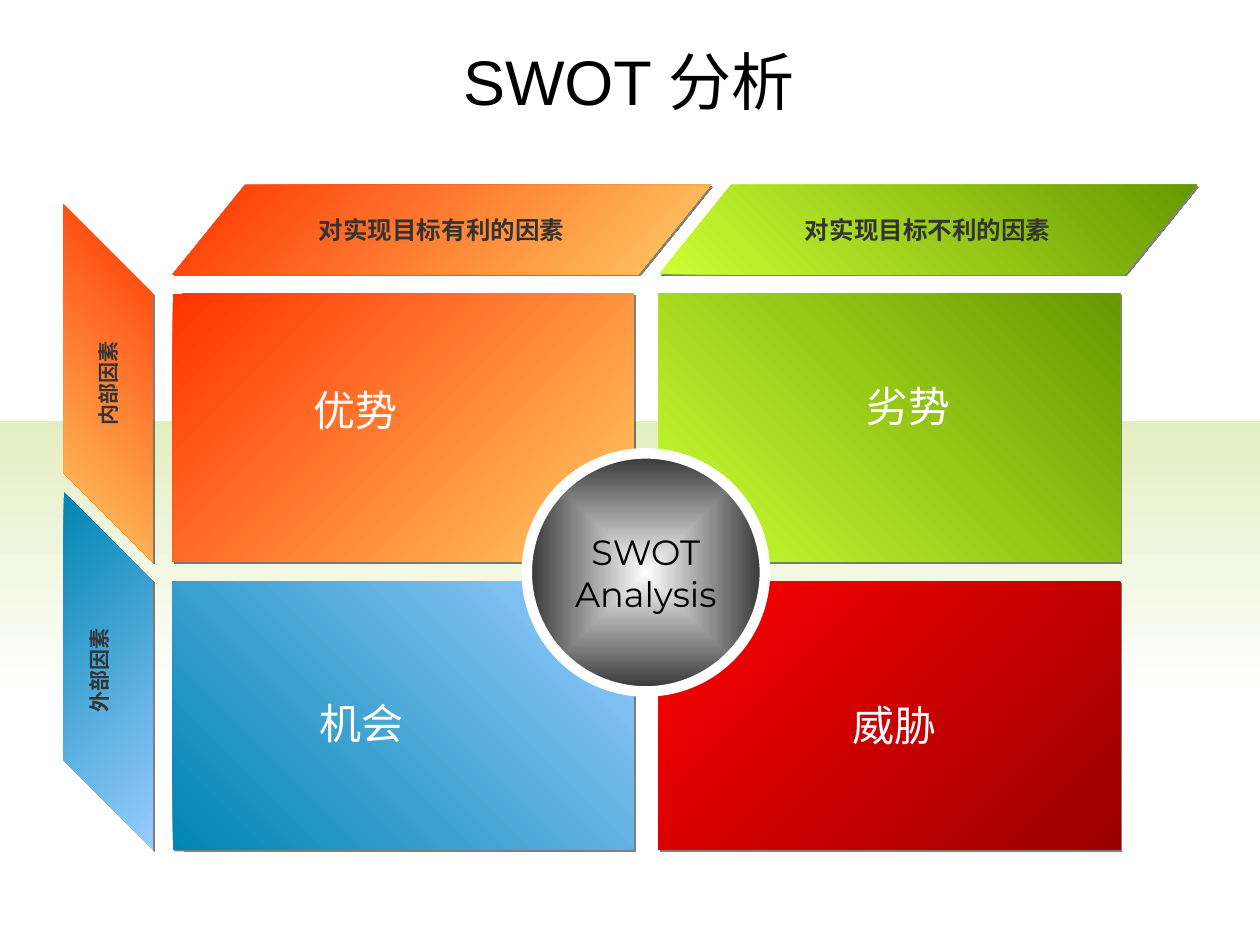
"""Build a SWOT analysis slide with a two-by-two matrix and axis banners."""
from lxml import etree
from pptx import Presentation
from pptx.dml.color import RGBColor
from pptx.enum.shapes import MSO_SHAPE
from pptx.enum.text import MSO_ANCHOR, PP_ALIGN
from pptx.oxml import parse_xml
from pptx.oxml.ns import nsdecls, qn
from pptx.util import Cm, Pt

RECTANGLE, SLANTED, OVAL = MSO_SHAPE.RECTANGLE, MSO_SHAPE.PARALLELOGRAM, MSO_SHAPE.OVAL
TOP, MIDDLE = MSO_ANCHOR.TOP, MSO_ANCHOR.MIDDLE
LEFT, CENTER, RIGHT = PP_ALIGN.LEFT, PP_ALIGN.CENTER, PP_ALIGN.RIGHT

WHITE = RGBColor(0xFF, 0xFF, 0xFF)
BLACK = RGBColor(0x00, 0x00, 0x00)
CHARCOAL = RGBColor(0x33, 0x33, 0x33)
PALE_GREEN = RGBColor(0xE3, 0xEE, 0xC1)
ORANGE = (RGBColor(0xFF, 0x33, 0x00), RGBColor(0xFF, 0xCC, 0x66))
GREEN = (RGBColor(0xCC, 0xFF, 0x33), RGBColor(0x66, 0x99, 0x00))
BLUE = (RGBColor(0x00, 0x85, 0xB2), RGBColor(0x99, 0xCC, 0xFF))
RED = (RGBColor(0xFF, 0x00, 0x00), RGBColor(0x99, 0x00, 0x00))

SHADOW = (
    f'<a:effectLst {nsdecls("a")}><a:outerShdw dist="17780" dir="2700000" algn="ctr" '
    'rotWithShape="0"><a:srgbClr val="000000"><a:alpha val="{}"/></a:srgbClr>'
    '</a:outerShdw></a:effectLst>'
)
BANNER_FONT = {"name": "Arial", "size": Pt(14), "bold": True}
SIDE_FONT = {"name": "Arial", "size": Pt(12), "bold": True}
LABEL_FONT = {"name": "Arial", "size": Pt(24)}
TITLE_FONT = {"name": "Arial", "size": Pt(36)}
HUB_FONT = {"name": "Montserrat", "size": Pt(20)}

COLUMNS, ROWS = (3.48, 13.28), (5.92, 11.73)
CARD_WIDTH, CARD_HEIGHT = 9.3, 5.4

prs = Presentation()
prs.slide_width, prs.slide_height = Cm(25.4), Cm(19.05)
slide = prs.slides.add_slide(prs.slide_layouts[6])


def add_panel(preset, box, colors, angle, raised=True):
    panel = slide.shapes.add_shape(preset, *map(Cm, box))
    panel.shadow.inherit = False
    panel.line.fill.background()
    panel.fill.gradient()
    panel.fill.gradient_angle = 360 - angle
    for stop, color in zip(panel.fill.gradient_stops, colors):
        stop.color.rgb = color
    properties = panel.fill._xPr
    properties.find(qn("a:gradFill")).set("rotWithShape", "0")
    if raised:
        flat = properties.find(qn("a:effectLst"))
        properties.replace(flat, parse_xml(SHADOW.format(50000)))
    return panel


def write(holder, lines, formats, color, align=CENTER, anchor=MIDDLE, wrap=True):
    frame = holder.text_frame
    frame.text = "\n".join(lines)
    frame.word_wrap = wrap
    frame.vertical_anchor = anchor
    for paragraph in frame.paragraphs:
        paragraph.alignment = align
        for run in paragraph.runs:
            for key, value in formats.items():
                setattr(run.font, key, value)
            run.font.color.rgb = color
    return frame


add_panel(RECTANGLE, (0, 8.48, 25.4, 5.56), (PALE_GREEN, WHITE), 90, raised=False)

title = slide.shapes.add_textbox(Cm(0.84), Cm(0.71), Cm(23.67), Cm(1.8))
title_frame = write(title, ["SWOT 分析"], TITLE_FONT, BLACK)
title_frame.margin_left = title_frame.margin_right = 0

for left, wording, colors, angle in (
    (COLUMNS[1], "对实现目标不利的因素", GREEN, 315),
    (COLUMNS[0], "对实现目标有利的因素", ORANGE, 45),
):
    banner = add_panel(SLANTED, (left, 3.73, 10.85, 1.8), colors, angle)
    banner.adjustments[0] = 0.81
    write(banner, [wording], BANNER_FONT, CHARCOAL)

for top, wording, colors, angle, anchor in (
    (6.83, "内部因素", ORANGE, 135, MIDDLE),
    (12.62, "外部因素", BLUE, 45, TOP),
):
    side = add_panel(SLANTED, (-1.42, top, 7.21, 1.8), colors, angle)
    side.rotation = 270
    side.adjustments[0] = 1
    write(side, [wording], SIDE_FONT, CHARCOAL, anchor=anchor)

for column, row, colors, angle in (
    (0, 0, ORANGE, 45),
    (1, 0, GREEN, 315),
    (1, 1, RED, 45),
    (0, 1, BLUE, 315),
):
    add_panel(RECTANGLE, (COLUMNS[column], ROWS[row], CARD_WIDTH, CARD_HEIGHT), colors, angle)

for left, top, wording, align in (
    (6.08, 7.62, "优势", LEFT),
    (17.22, 7.54, "劣势", RIGHT),
    (6.2, 13.94, "机会", LEFT),
    (16.92, 13.97, "威胁", RIGHT),
):
    label = slide.shapes.add_textbox(Cm(left), Cm(top), Cm(2.2), Cm(1.27))
    frame = write(label, [wording], LABEL_FONT, WHITE, align, TOP, wrap=False)
    run_fill = frame.paragraphs[0].runs[0].font._element.find(qn("a:solidFill"))
    run_fill.addnext(parse_xml(SHADOW.format(100000)))

hub = add_panel(OVAL, (10.62, 9.14, 4.8, 4.8), (WHITE, CHARCOAL), 0, raised=False)
hub.line.color.rgb = WHITE
hub.line.width = Pt(6)
hub_gradient = hub.fill._xPr.find(qn("a:gradFill"))
hub_gradient.remove(hub_gradient.find(qn("a:lin")))
center_path = etree.SubElement(hub_gradient, qn("a:path"), {"path": "rect"})
etree.SubElement(center_path, qn("a:fillToRect"), dict.fromkeys("ltrb", "50000"))
write(hub, ["SWOT", "Analysis"], HUB_FONT, BLACK, wrap=False)

prs.save("out.pptx")
